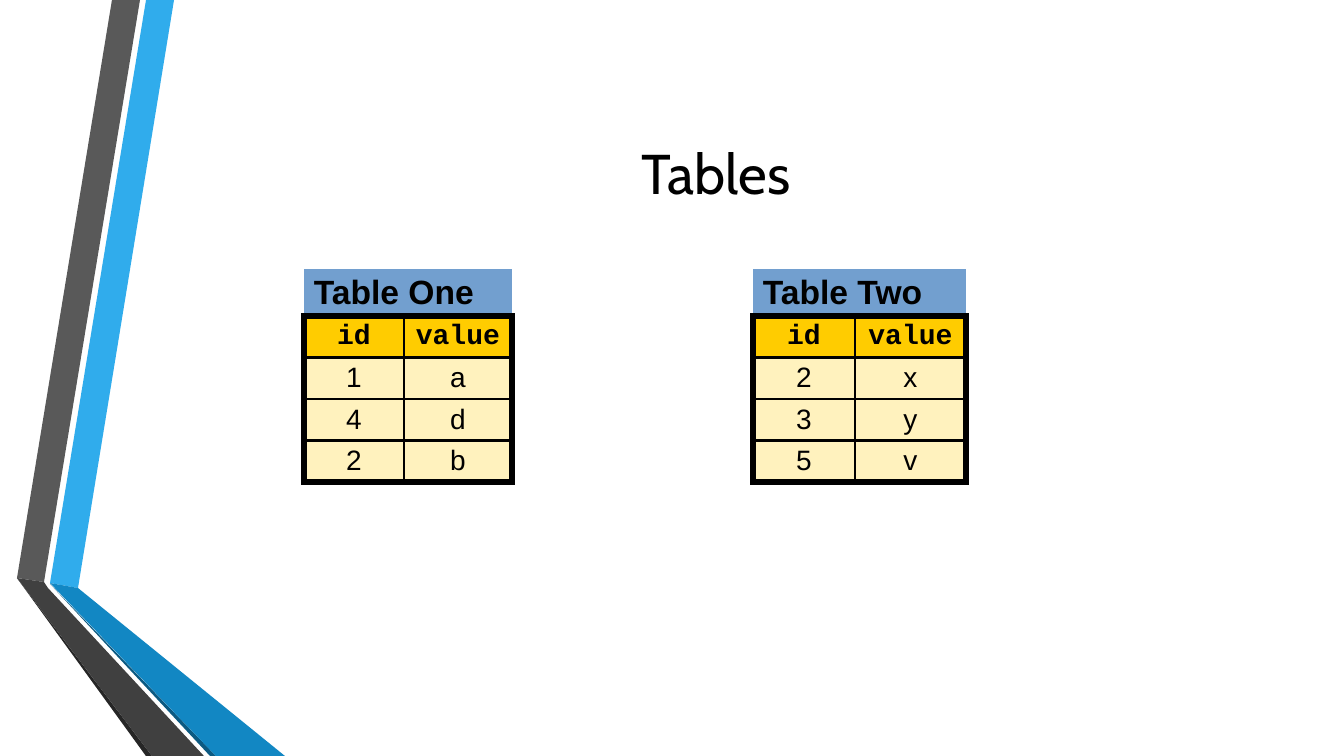
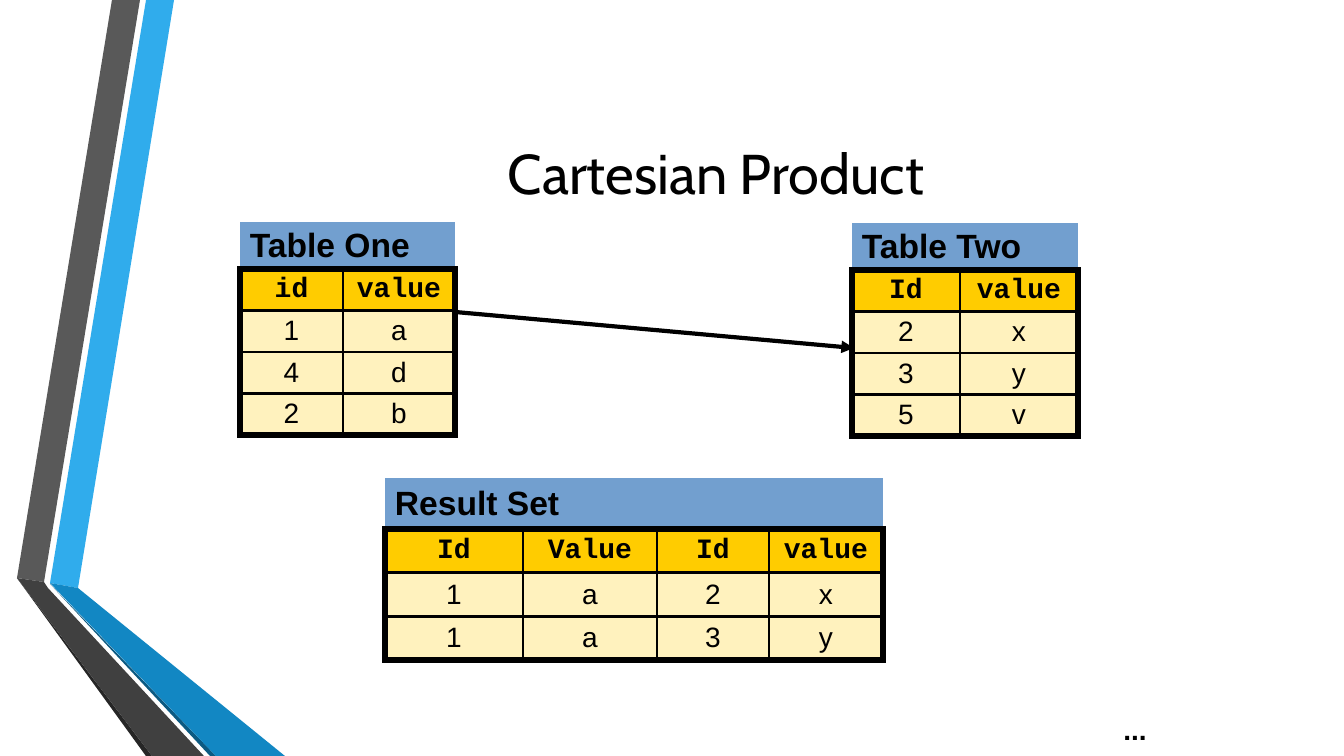
"""Build two slides that show tables and their Cartesian product."""
from dataclasses import dataclass
from typing import NamedTuple

from lxml.etree import SubElement
from pptx import Presentation
from pptx.dml.color import RGBColor as Rgb
from pptx.enum.shapes import MSO_CONNECTOR as Connector
from pptx.enum.text import MSO_ANCHOR as Anchor, MSO_AUTO_SIZE as AutoSize, PP_ALIGN as Align
from pptx.oxml.ns import qn
from pptx.util import Emu, Pt

EMU_PER_PX = 914400 / 100.8
TITLE_ONLY = 5


@dataclass(frozen=True)
class Theme:
    """Colours, fonts, type sizes and line widths of the deck."""
    ink: str = "000000"
    caption_fill: str = "729FCF"
    header_fill: str = "FFCC00"
    body_fill: str = "FFF2BE"
    title_font: str = "Cabin"
    body_font: str = "Arial"
    header_font: str = "Courier New"
    title_size: int = 40
    caption_size: int = 24
    cell_size: int = 20
    frame_line: float = 4.5
    grid_line: float = 2
    arrow_line: float = 3


class Box(NamedTuple):
    """A rectangle in px."""
    left: int
    top: int
    width: int
    height: int


class Ribbon(NamedTuple):
    """A filled outline with its corners in px."""
    color: str
    corners: list[tuple[int, int]]


class CellStyle(NamedTuple):
    """Look of one kind of table cell."""
    fill: str
    font: str
    size: int
    bold: bool
    align: Align


@dataclass(frozen=True)
class DataTable:
    """A captioned table; the first of its rows is the header."""
    caption: str
    left: int
    top: int
    widths: list[int]
    rows: list[str]
    caption_height: int = 47
    grid_height: int = 166


THEME = Theme()
CAPTION = CellStyle(THEME.caption_fill, THEME.body_font, THEME.caption_size, True, Align.LEFT)
HEADER = CellStyle(THEME.header_fill, THEME.header_font, THEME.cell_size, True, Align.CENTER)
BODY = CellStyle(THEME.body_fill, THEME.body_font, THEME.cell_size, False, Align.CENTER)

TITLE_BOX = Box(163, 75, 1106, 194)
MORE_BOX = Box(1121, 708, 28, 43)
RIBBONS = [
    Ribbon("30ACEC", [(50, 583), (78, 588), (174, 0), (146, 0)]),
    Ribbon("595959", [(140, 0), (112, 0), (17, 578), (44, 582)]),
    Ribbon("262626", [(17, 578), (146, 756), (152, 756)]),
    Ribbon("0C5A82", [(50, 584), (210, 756), (216, 756)]),
    Ribbon("1287C3", [(50, 583), (216, 756), (285, 756), (78, 588)]),
    Ribbon("404040", [(204, 756), (48, 588), (44, 582), (17, 578), (152, 756)]),
]
ONE_ROWS = ["1 a", "4 d", "2 b"]
TWO_ROWS = ["2 x", "3 y", "5 v"]
SLIDES = {
    "Tables": [
        DataTable("Table Two", 753, 269, [102, 111], ["id value", *TWO_ROWS]),
        DataTable("Table One", 304, 269, [100, 108], ["id value", *ONE_ROWS]),
    ],
    "Cartesian Product": [
        DataTable("Table One", 240, 222, [103, 112], ["id value", *ONE_ROWS]),
        DataTable("Table Two", 852, 223, [108, 118], ["Id value", *TWO_ROWS]),
        DataTable("Result Set", 385, 478, [138, 134, 112, 114],
                  ["Id Value Id value", "1 a 2 x", "1 a 3 y"], 51, 131),
    ],
}


def px(length: float) -> Emu:
    """Turn px into EMU."""
    return Emu(round(length * EMU_PER_PX))


def add_run(para, text: str, font: str, size: int, bold: bool = False) -> None:
    """Add one formatted run to a paragraph."""
    run = para.add_run()
    run.text = text
    run.font.name = font
    run.font.size = Pt(size)
    run.font.bold = bold
    run.font.color.rgb = Rgb.from_string(THEME.ink)


def set_borders(cell, widths: dict[str, float]) -> None:
    """Draw the given sides of a cell and hide the others."""
    properties = cell._tc.get_or_add_tcPr()
    for index, side in enumerate("LRTB"):
        width = widths.get(side, 0)
        line = SubElement(properties, qn(f"a:ln{side}"), w=str(Pt(width)))
        if width:
            fill = SubElement(line, qn("a:solidFill"))
            SubElement(fill, qn("a:srgbClr"), val=THEME.ink)
        else:
            SubElement(line, qn("a:noFill"))
        properties.insert(index, line)


def fill_cell(cell, text: str, style: CellStyle) -> None:
    """Put styled text and a fill into a cell."""
    cell.fill.solid()
    cell.fill.fore_color.rgb = Rgb.from_string(style.fill)
    cell.vertical_anchor = Anchor.MIDDLE
    cell.margin_left = cell.margin_right = px(10)
    cell.margin_top = cell.margin_bottom = px(4)
    para = cell.text_frame.paragraphs[0]
    para.alignment = style.align
    add_run(para, text, style.font, style.size, style.bold)


def add_data_table(slide, data: DataTable) -> None:
    """Add a captioned table with a heavy frame around its grid."""
    count, last = len(data.rows), len(data.widths) - 1
    frame = slide.shapes.add_table(
        count + 1, last + 1, px(data.left), px(data.top),
        px(sum(data.widths)), px(data.caption_height + data.grid_height))
    table = frame.table
    table.first_row = table.horz_banding = False
    for column, width in zip(table.columns, data.widths):
        column.width = px(width)
    for index, row in enumerate(table.rows):
        row.height = px(data.grid_height / count if index else data.caption_height)

    table.cell(0, 0).merge(table.cell(0, last))
    fill_cell(table.cell(0, 0), data.caption, CAPTION)
    for column in range(last + 1):
        set_borders(table.cell(0, column), {"B": THEME.frame_line})

    for index, values in enumerate(data.rows, start=1):
        for column, text in enumerate(values.split()):
            cell = table.cell(index, column)
            fill_cell(cell, text, HEADER if index == 1 else BODY)
            on_frame = {"L": column == 0, "R": column == last,
                        "T": index == 1, "B": index == count}
            set_borders(cell, {side: THEME.frame_line if outer else THEME.grid_line
                               for side, outer in on_frame.items()})


def add_arrow(slide, start: tuple[int, int], end: tuple[int, int]) -> None:
    """Add a straight line with an arrowhead at its end."""
    arrow = slide.shapes.add_connector(
        Connector.STRAIGHT, *map(px, start), *map(px, end))
    arrow.line.color.rgb = Rgb.from_string(THEME.ink)
    arrow.line.width = Pt(THEME.arrow_line)
    properties = arrow.element.spPr
    SubElement(properties.find(qn("a:ln")), qn("a:tailEnd"), type="triangle")
    SubElement(properties, qn("a:effectLst"))


def add_more_mark(slide) -> None:
    """Add the dots that stand for further result rows."""
    box = slide.shapes.add_textbox(*map(px, MORE_BOX))
    frame = box.text_frame
    frame.word_wrap = False
    frame.auto_size = AutoSize.SHAPE_TO_FIT_TEXT
    frame.margin_left = frame.margin_right = 0
    para = frame.paragraphs[0]
    para.alignment = Align.CENTER
    add_run(para, "...", THEME.body_font, THEME.cell_size, True)


def dress_layout(layout, slide) -> None:
    """Place the title and the ribbons on the layout, drawing them by way of a slide."""
    title = next(iter(layout.placeholders))
    title.left, title.top, title.width, title.height = map(px, TITLE_BOX)
    for index, ribbon in enumerate(RIBBONS):
        builder = slide.shapes.build_freeform(*ribbon.corners[0], scale=EMU_PER_PX)
        builder.add_line_segments(ribbon.corners[1:], close=True)
        shape = builder.convert_to_shape()
        shape.shadow.inherit = False
        shape.fill.solid()
        shape.fill.fore_color.rgb = Rgb.from_string(ribbon.color)
        shape.line.fill.background()
        layout.shapes.element.insert(2 + index, shape.element)


def add_page(deck, title: str, tables: list[DataTable]):
    """Add a slide with its title and tables."""
    page = deck.slides.add_slide(deck.slide_layouts[TITLE_ONLY])
    frame = page.shapes.title.text_frame
    frame.vertical_anchor = Anchor.MIDDLE
    para = frame.paragraphs[0]
    para.alignment = Align.CENTER
    add_run(para, title, THEME.title_font, THEME.title_size)
    for data in tables:
        add_data_table(page, data)
    return page


def main() -> None:
    """Build and save the deck."""
    deck = Presentation()
    deck.slide_width, deck.slide_height = px(1344), px(756)
    pages = [add_page(deck, title, tables) for title, tables in SLIDES.items()]
    dress_layout(deck.slide_layouts[TITLE_ONLY], pages[0])
    add_more_mark(pages[1])
    add_arrow(pages[1], (455, 312), (854, 348))
    deck.save("out.pptx")


if __name__ == "__main__":
    main()
